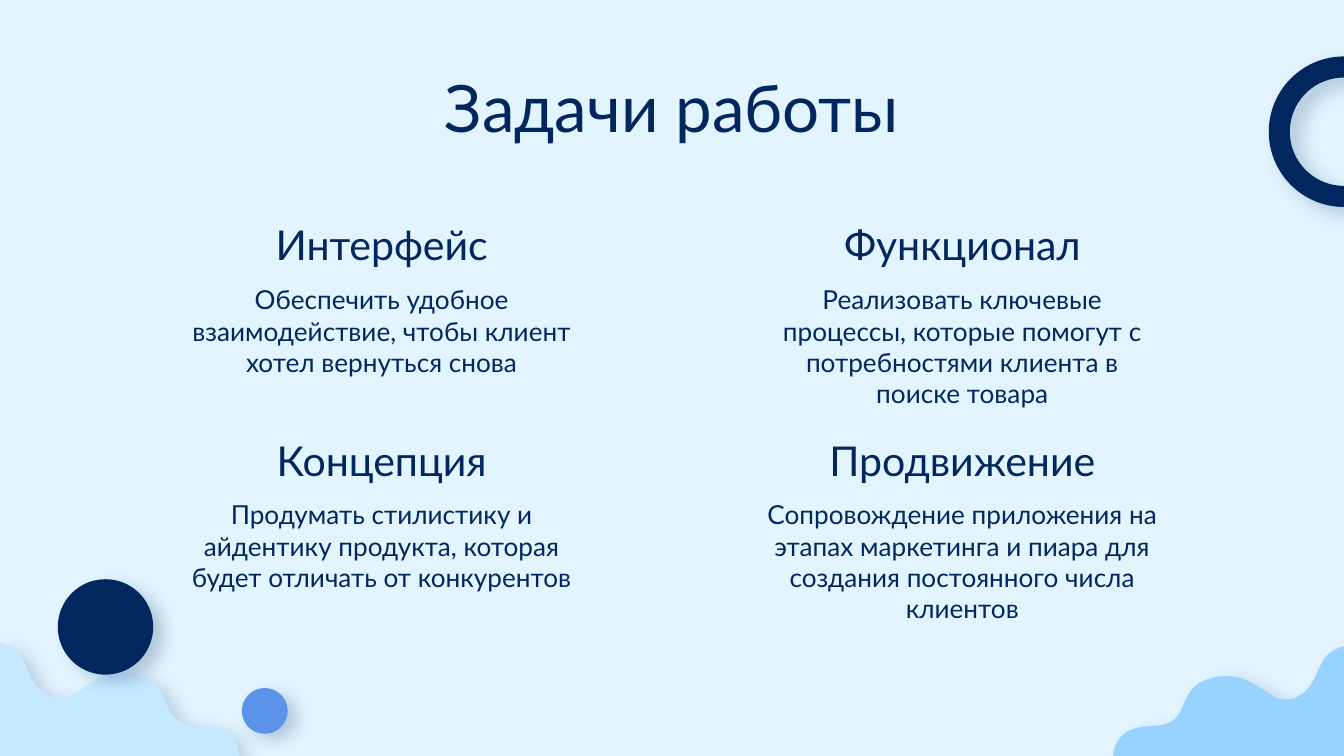
from lxml import etree
from pptx import Presentation
from pptx.dml.color import RGBColor
from pptx.enum.shapes import MSO_SHAPE
from pptx.enum.text import MSO_ANCHOR, MSO_AUTO_SIZE, PP_ALIGN
from pptx.oxml.ns import qn
from pptx.util import Inches, Pt

OVAL, DONUT = MSO_SHAPE.OVAL, MSO_SHAPE.DONUT
TOP, BOTTOM = MSO_ANCHOR.TOP, MSO_ANCHOR.BOTTOM
CENTER = PP_ALIGN.CENTER
NO_FIT = MSO_AUTO_SIZE.NONE

NAVY = RGBColor(0x02, 0x27, 0x5E)
BLUE = RGBColor(0x5B, 0x93, 0xE9)
SKY = RGBColor(0x98, 0xD2, 0xFF)
PALE = RGBColor(0xC5, 0xEA, 0xFF)
BACK = RGBColor(0xE2, 0xF5, 0xFF)
FONT = "Lato"

TITLE = "Задачи работы"
TASKS = [
    ("Интерфейс", 2.09, "Обеспечить удобное взаимодействие, чтобы клиент хотел вернуться снова"),
    ("Функционал", 2.24, "Реализовать ключевые процессы, которые помогут с потребностями клиента в поиске товара"),
    ("Концепция", 3.18, "Продумать стилистику и айдентику продукта, которая будет отличать от конкурентов"),
    ("Продвижение", 3.18, "Сопровождение приложения на этапах маркетинга и пиара для создания постоянного числа клиентов"),
]
COLS = (1.25, 5.57)
ROWS = ((1.62, 2.01), (3.23, 3.61))
WIDTH = 3.18
HEAD, BODY = 0.48, 1.17

BASE = 5.63
WAVES = [
    (SKY, (8.28, BASE), [
        ((8.31, 5.4), (8.49, 5.41), (8.6, 5.4)),
        ((8.87, 5.39), (8.74, 5.12), (9, 5.05)),
        ((9.35, 4.95), (9.43, 5.28), (9.64, 5.19)),
        ((9.85, 5.1), (9.76, 4.86), (10, 4.81)),
    ], (10, BASE)),
    (PALE, (1.78, BASE), [
        ((1.76, 5.39), (1.56, 5.4), (1.45, 5.4)),
        ((1.17, 5.38), (1.3, 5.1), (1.04, 5.03)),
        ((0.67, 4.93), (0.59, 5.27), (0.37, 5.18)),
        ((0.15, 5.08), (0.25, 4.83), (0, 4.78)),
    ], (0, BASE)),
]
DOTS = [
    (0.43, 4.31, 0.71, NAVY, 6.8),
    (1.8, 5.12, 0.34, BLUE, 6),
]


def place(*box):
    return [Inches(side) for side in box]


def paint(shape, color, alpha, blur, dist, angle):
    shape.fill.solid()
    shape.fill.fore_color.rgb = color
    shape.line.fill.background()
    shape.shadow.inherit = False
    effects = shape._element.spPr.find(qn("a:effectLst"))
    shade = etree.SubElement(
        effects, qn("a:outerShdw"), blurRad=str(Pt(blur)), dist=str(Pt(dist)),
        dir=str(angle * 60000), algn="bl", rotWithShape="0")
    tint = etree.SubElement(shade, qn("a:srgbClr"), val=str(NAVY))
    etree.SubElement(tint, qn("a:alpha"), val=str(alpha * 1000))


def write(shape, text, size, anchor):
    frame = shape.text_frame
    frame.text = text
    frame.word_wrap = True
    frame.auto_size = NO_FIT
    frame.vertical_anchor = anchor
    frame.margin_left = frame.margin_right = Inches(0.1)
    frame.margin_top = frame.margin_bottom = Inches(0.1)
    line = frame.paragraphs[0]
    line.alignment = CENTER
    font = line.runs[0].font
    font.name, font.size = FONT, Pt(size)
    font.color.rgb = NAVY
    return line


def wave(start, bends, corner):
    knots = [place(*knot) for bend in bends for knot in bend]
    pen = shapes.build_freeform(*place(*start))
    pen.add_line_segments(knots + [place(*corner)], close=True)
    shape = pen.convert_to_shape()
    lines = list(shape._element.iter(qn("a:lnTo")))
    for first in range(0, len(knots), 3):
        trio = lines[first:first + 3]
        curve = etree.Element(qn("a:cubicBezTo"))
        trio[0].addprevious(curve)
        for line in trio:
            curve.append(line[0])
            line.getparent().remove(line)
    return shape


deck = Presentation()
deck.slide_width, deck.slide_height = place(10, 5.625)
slide = deck.slides.add_slide(deck.slide_layouts[5])
slide.background.fill.solid()
slide.background.fill.fore_color.rgb = BACK
shapes = slide.shapes

ring = shapes.add_shape(DONUT, *place(9.44, 0.42, 1.12, 1.12))
ring.adjustments[0] = 0.14
paint(ring, NAVY, 21, 11.2, 6.8, 36)

for color, start, bends, corner in WAVES:
    paint(wave(start, bends, corner), color, 20, 10.1, 6, 33)

for index, (head, width, body) in enumerate(TASKS):
    left = COLS[index % 2]
    top, below = ROWS[index // 2]
    inset = (WIDTH - width) / 2
    write(shapes.add_textbox(*place(left, below, WIDTH, BODY)), body, 14, TOP)
    write(shapes.add_textbox(*place(left + inset, top, width, HEAD)), head, 22, BOTTOM)

title = shapes.title
title.left, title.top, title.width, title.height = place(0.78, 0.49, 8.44, 0.69)
write(title, TITLE, 35, TOP).line_spacing = 0.85

for left, top, size, color, dist in DOTS:
    paint(shapes.add_shape(OVAL, *place(left, top, size, size)), color, 21, 9, dist, 33)

deck.save("out.pptx")
